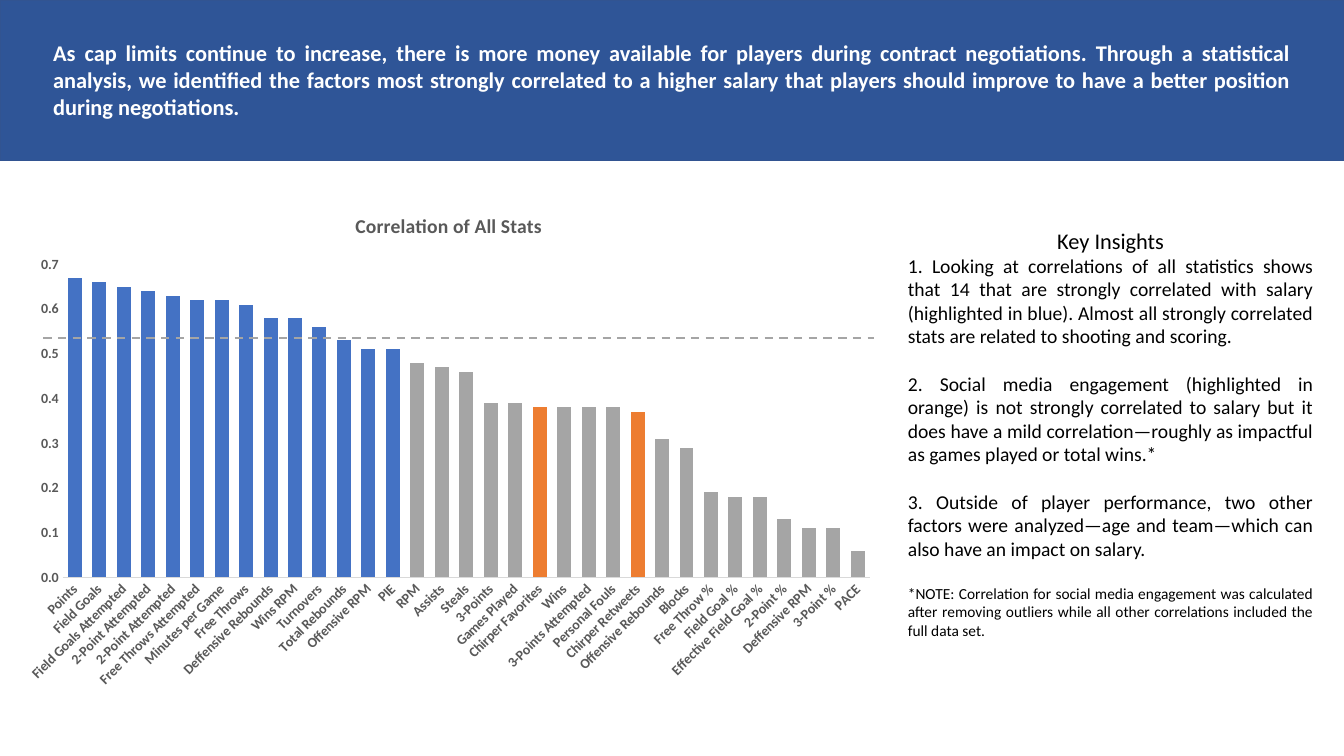
from lxml.etree import SubElement
from pptx import Presentation
from pptx.chart.data import CategoryChartData
from pptx.dml.color import RGBColor
from pptx.enum.chart import XL_CHART_TYPE as CHART, XL_TICK_MARK as TICK
from pptx.enum.dml import MSO_LINE
from pptx.enum.shapes import MSO_CONNECTOR, MSO_SHAPE
from pptx.enum.text import PP_ALIGN as ALIGN
from pptx.oxml import parse_xml
from pptx.oxml.ns import nsdecls, qn
from pptx.util import Cm, Pt

FONT = "Calibri"
COLORS = {
    "banner": "2F5597", "banner_line": "325491", "white": "FFFFFF",
    "black": "000000", "label": "595959", "axis": "D9D9D9",
    "strong": "4472C4", "other": "A5A5A5", "social": "ED7D31",
}
STRONG_COUNT = 14
STATS = [
    ("Points", 0.67), ("Field Goals", 0.66), ("Field Goals Attempted", 0.65),
    ("2-Point Attempted", 0.64), ("2-Point Attempted", 0.63),
    ("Free Throws Attempted", 0.62), ("Minutes per Game", 0.62),
    ("Free Throws", 0.61), ("Deffensive Rebounds", 0.58), ("Wins RPM", 0.58),
    ("Turnovers", 0.56), ("Total Rebounds", 0.53), ("Offensive RPM", 0.51),
    ("PIE", 0.51), ("RPM", 0.48), ("Assists", 0.47), ("Steals", 0.46),
    ("3-Points", 0.39), ("Games Played", 0.39), ("Chirper Favorites", 0.38),
    ("Wins", 0.38), ("3-Points Attempted", 0.38), ("Personal Fouls", 0.38),
    ("Chirper Retweets", 0.37), ("Offensive Rebounds", 0.31),
    ("Blocks", 0.29), ("Free Throw %", 0.19), ("Field Goal %", 0.18),
    ("Effective Field Goal %", 0.18), ("2-Point %", 0.13),
    ("Deffensive RPM", 0.11), ("3-Point %", 0.11), ("PACE", 0.06),
]
SOCIAL = {"Chirper Favorites", "Chirper Retweets"}
HEADLINE = (
    "As cap limits continue to increase, there is more money available for "
    "players during contract negotiations. Through a statistical analysis, "
    "we identified the factors most strongly correlated to a higher salary "
    "that players should improve to have a better position during negotiations."
)
INSIGHTS = [
    "1. Looking at correlations of all statistics shows that 14 that are "
    "strongly correlated with salary (highlighted in blue). Almost all "
    "strongly correlated stats are related to shooting and scoring.",
    "2. Social media engagement (highlighted in orange) is not strongly "
    "correlated to salary but it does have a mild correlation—roughly as "
    "impactful as games played or total wins.*",
    "3. Outside of player performance, two other factors were analyzed—age "
    "and team—which can also have an impact on salary.",
]
NOTE = (
    "*NOTE: Correlation for social media engagement was calculated after "
    "removing outliers while all other correlations included the full data set."
)


def rgb(name):
    return RGBColor.from_string(COLORS[name])


def style_font(font, size, color, bold=False):
    font.name = FONT
    font.size = Pt(size)
    font.bold = bold
    font.color.rgb = rgb(color)


def add_text(tf, text, size=14, color="black", bold=False,
             align=ALIGN.JUSTIFY, before=0):
    p = tf.paragraphs[0]
    if p.runs:
        p = tf.add_paragraph()
        p.space_before = Pt(before)
    p.alignment = align
    r = p.add_run()
    r.text = text
    style_font(r.font, size, color, bold)


def add_box(s, left, top, width, height):
    tf = s.shapes.add_textbox(Cm(left), Cm(top), Cm(width), Cm(height)).text_frame
    tf.word_wrap = True
    return tf


def add_banner(s, width, height):
    sp = s.shapes.add_shape(MSO_SHAPE.RECTANGLE, 0, 0, width, height)
    sp.shadow.inherit = False
    sp.fill.solid()
    sp.fill.fore_color.rgb = rgb("banner")
    sp.line.color.rgb = rgb("banner_line")
    sp.line.width = Pt(1)


def bar_color(index, stat):
    if stat in SOCIAL:
        return "social"
    return "strong" if index < STRONG_COUNT else "other"


def style_axis(axis):
    axis.has_major_gridlines = False
    axis.major_tick_mark = axis.minor_tick_mark = TICK.NONE
    style_font(axis.tick_labels.font, 10, "label", True)


def set_plot_area(chart, x, y, w, h):
    area = chart.plots[0]._element.getparent()
    for old in area.findall(qn("c:layout")):
        area.remove(old)
    layout = parse_xml(f"<c:layout {nsdecls('c')}><c:manualLayout/></c:layout>")
    settings = {"layoutTarget": "inner", "xMode": "edge", "yMode": "edge",
                "x": x, "y": y, "w": w, "h": h}
    for tag, value in settings.items():
        SubElement(layout[0], qn(f"c:{tag}")).set("val", str(value))
    area.insert(0, layout)


def add_correlation_chart(s, left, top, width, height):
    data = CategoryChartData(number_format="0.00")
    data.categories = [stat for stat, _ in STATS]
    data.add_series("Correlation", [value for _, value in STATS])
    chart = s.shapes.add_chart(CHART.COLUMN_CLUSTERED, Cm(left), Cm(top),
                               Cm(width), Cm(height), data).chart
    style_font(chart.font, 10, "black")
    chart.has_legend = False
    chart.has_title = True
    add_text(chart.chart_title.text_frame, "Correlation of All Stats",
             color="label", bold=True, align=ALIGN.CENTER)
    chart.chart_title.include_in_layout = False
    plot = chart.plots[0]
    plot.vary_by_categories = False
    plot.gap_width = 75
    plot.overlap = 20
    series = plot.series[0]
    series.format.fill.solid()
    series.format.fill.fore_color.rgb = rgb("strong")
    for i, (stat, _) in enumerate(STATS):
        color = bar_color(i, stat)
        if color != "strong":
            fill = series.points[i].format.fill
            fill.solid()
            fill.fore_color.rgb = rgb(color)
    cats, vals = chart.category_axis, chart.value_axis
    style_axis(cats)
    cats.format.line.color.rgb = rgb("axis")
    cats.format.line.width = Pt(0.75)
    cats._element.find(qn("c:txPr")).find(qn("a:bodyPr")).set("rot", "-2700000")
    style_axis(vals)
    vals.format.line.fill.background()
    vals.minimum_scale, vals.maximum_scale, vals.major_unit = 0, 0.7, 0.1
    vals.tick_labels.number_format = "0.0"
    vals.tick_labels.number_format_is_linked = False
    set_plot_area(chart, 0.06, 0.14, 0.92, 0.62)


def add_threshold(s, left, right, y):
    line = s.shapes.add_connector(MSO_CONNECTOR.STRAIGHT,
                                  Cm(left), Cm(y), Cm(right), Cm(y))
    line.line.color.rgb = rgb("other")
    line.line.width = Pt(1.5)
    line.line.dash_style = MSO_LINE.DASH
    SubElement(line._element.spPr, qn("a:effectLst"))


def main():
    prs = Presentation()
    prs.slide_width, prs.slide_height = Cm(33.87), Cm(19.05)
    s = prs.slides.add_slide(prs.slide_layouts[6])
    add_banner(s, prs.slide_width, Cm(4.04))
    add_text(add_box(s, 1.09, 0.86, 31.7, 2.31), HEADLINE,
             size=16, color="white", bold=True)
    add_correlation_chart(s, 0.25, 4.88, 22.12, 12.73)
    tf = add_box(s, 22.63, 5.59, 10.72, 10.72)
    add_text(tf, "Key Insights", size=16, align=ALIGN.CENTER)
    for i, insight in enumerate(INSIGHTS):
        add_text(tf, insight, before=17 if i else 0)
    add_text(tf, NOTE, size=11, before=17)
    add_threshold(s, 1.09, 22.02, 8.51)
    prs.save("out.pptx")


if __name__ == "__main__":
    main()
